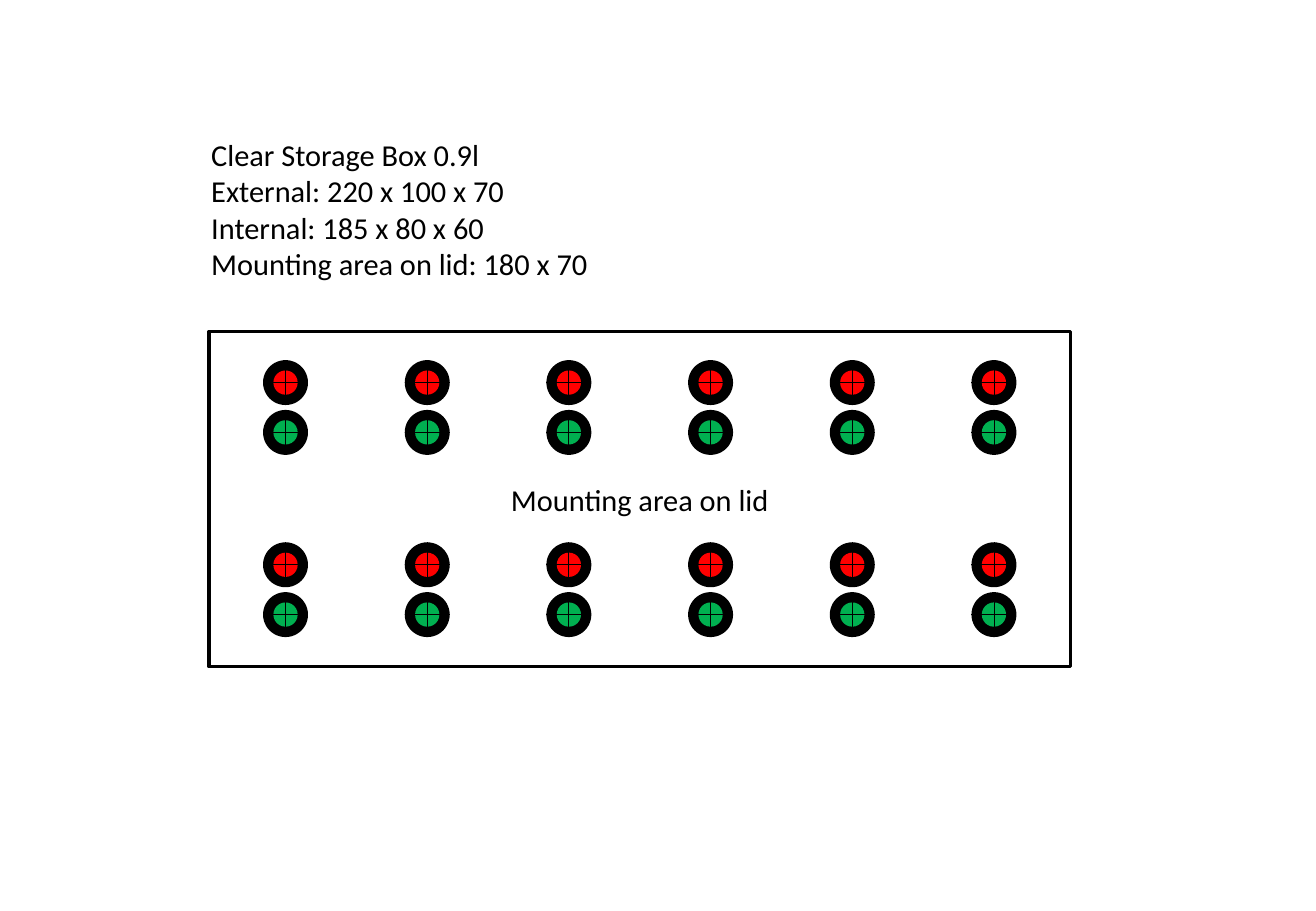
from pptx import Presentation
from pptx.dml.color import RGBColor
from pptx.enum.shapes import MSO_CONNECTOR, MSO_SHAPE
from pptx.enum.text import MSO_ANCHOR, MSO_AUTO_SIZE, PP_ALIGN
from pptx.oxml.ns import qn
from pptx.util import Inches, Pt

BLACK, WHITE, RED, GREEN = "000000", "FFFFFF", "FF0000", "00B050"
LABEL_FONT = {"name": "Calibri", "size": Pt(18)}
SOCKET_SIZE, LAMP_SIZE = 0.37, 0.2
COLUMNS, SIDE_MARGIN = 6, 0.63
BANK_TOPS = (0.42, 1.92)
LAMP_ROWS = ((0, RED), (0.41, GREEN))
BOX_DETAILS = (
    "Clear Storage Box 0.9l",
    "External: 220 x 100 x 70",
    "Internal: 185 x 80 x 60",
    "Mounting area on lid: 180 x 70",
)


def paint(color_format, color):
    """Apply a hex colour to a colour format."""
    color_format.rgb = RGBColor.from_string(color)


def write(frame, lines, align):
    """Write each line as a paragraph in the label font."""
    frame.text = "\n".join(lines)
    for paragraph in frame.paragraphs:
        paragraph.alignment = align
        font = paragraph.runs[0].font
        for attribute, value in LABEL_FONT.items():
            setattr(font, attribute, value)
        paint(font.color, BLACK)


def add_filled(shapes, preset, box, color):
    """Add a preset shape with a plain fill and no outline."""
    shape = shapes.add_shape(preset, *map(Inches, box))
    shape.shadow.inherit = False
    shape.fill.solid()
    paint(shape.fill.fore_color, color)
    shape.line.fill.background()
    return shape


def add_disc(shapes, x, y, size, color):
    """Add a filled circle centred on a point."""
    box = (x - size / 2, y - size / 2, size, size)
    add_filled(shapes, MSO_SHAPE.OVAL, box, color)


def add_lamp(shapes, x, y, color):
    """Add a lamp in its socket with centre lines."""
    add_disc(shapes, x, y, SOCKET_SIZE, BLACK)
    add_disc(shapes, x, y, LAMP_SIZE, color)
    reach = SOCKET_SIZE / 2
    for dx, dy in ((0, reach), (reach, 0)):
        ends = map(Inches, (x - dx, y - dy, x + dx, y + dy))
        centre_line = shapes.add_connector(MSO_CONNECTOR.STRAIGHT, *ends)
        centre_line.line.width = Pt(0.5)
        paint(centre_line.line.color, BLACK)
        properties = centre_line.element.spPr
        properties.append(properties.makeelement(qn("a:effectLst"), {}))


def add_details(slide, left, top, width, height):
    """Add the box dimensions."""
    details = slide.shapes.add_textbox(*map(Inches, (left, top, width, height)))
    write(details.text_frame, BOX_DETAILS, PP_ALIGN.LEFT)
    details.text_frame.word_wrap = False
    details.text_frame.auto_size = MSO_AUTO_SIZE.SHAPE_TO_FIT_TEXT


def add_lid(slide, left, top, width, height):
    """Add the mounting area and its two banks of lamps."""
    lid = add_filled(slide.shapes, MSO_SHAPE.RECTANGLE, (left, top, width, height), WHITE)
    lid.line.width = Pt(2)
    paint(lid.line.color, BLACK)
    write(lid.text_frame, ["Mounting area on lid"], PP_ALIGN.CENTER)
    lid.text_frame.vertical_anchor = MSO_ANCHOR.MIDDLE
    pitch = (width - 2 * SIDE_MARGIN) / (COLUMNS - 1)
    for bank_top in BANK_TOPS:
        bank = slide.shapes.add_group_shape()
        for row_offset, color in LAMP_ROWS:
            for column in range(COLUMNS):
                x = left + SIDE_MARGIN + column * pitch
                add_lamp(bank.shapes, x, top + bank_top + row_offset, color)


def build():
    """Build and save the lid layout slide."""
    presentation = Presentation()
    presentation.slide_width = Inches(10.83)
    presentation.slide_height = Inches(7.5)
    slide = presentation.slides.add_slide(presentation.slide_layouts[6])
    add_lid(slide, 1.72, 2.73, 7.09, 2.76)
    add_details(slide, 1.64, 1.07, 3.4, 1.31)
    presentation.save("out.pptx")


build()
